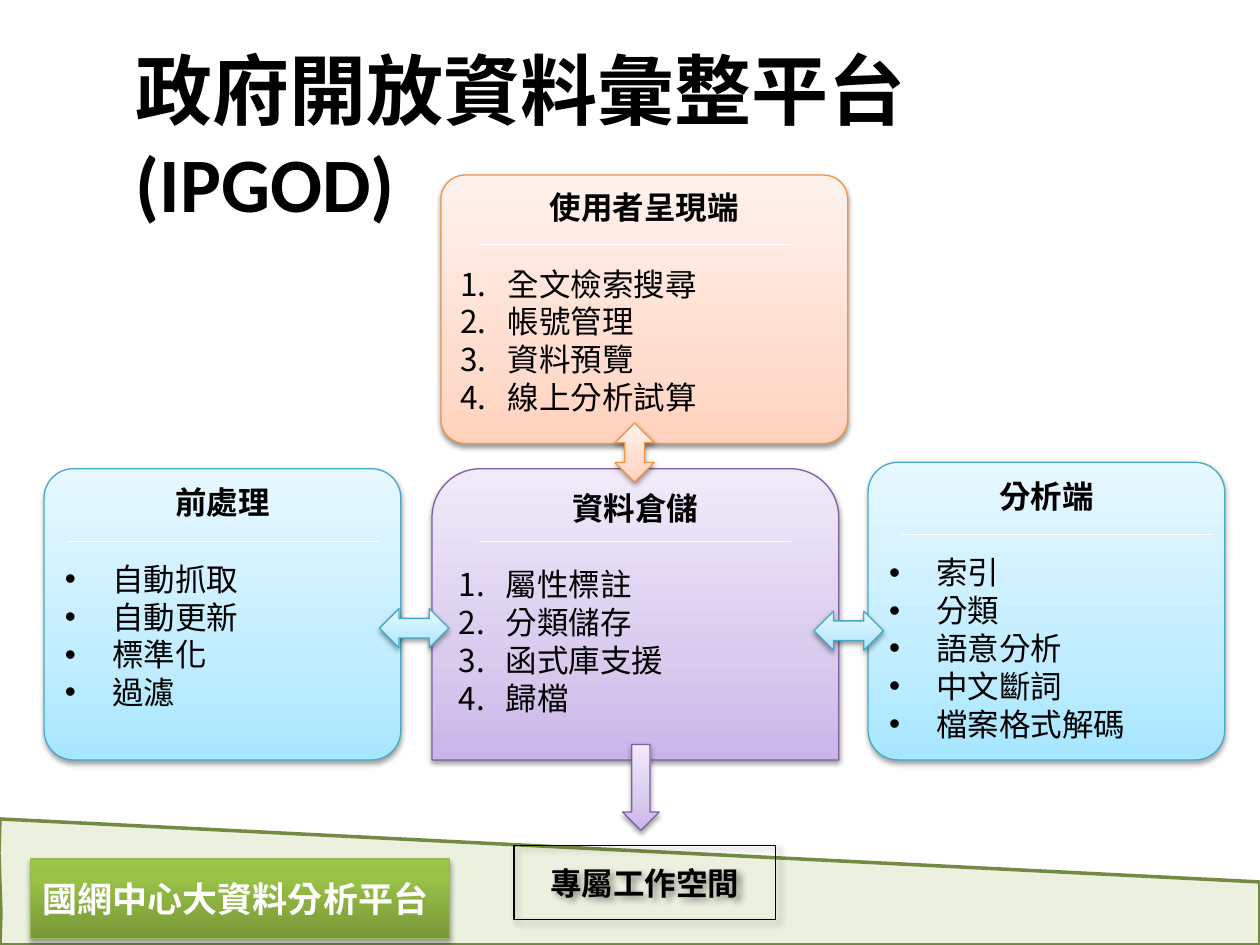
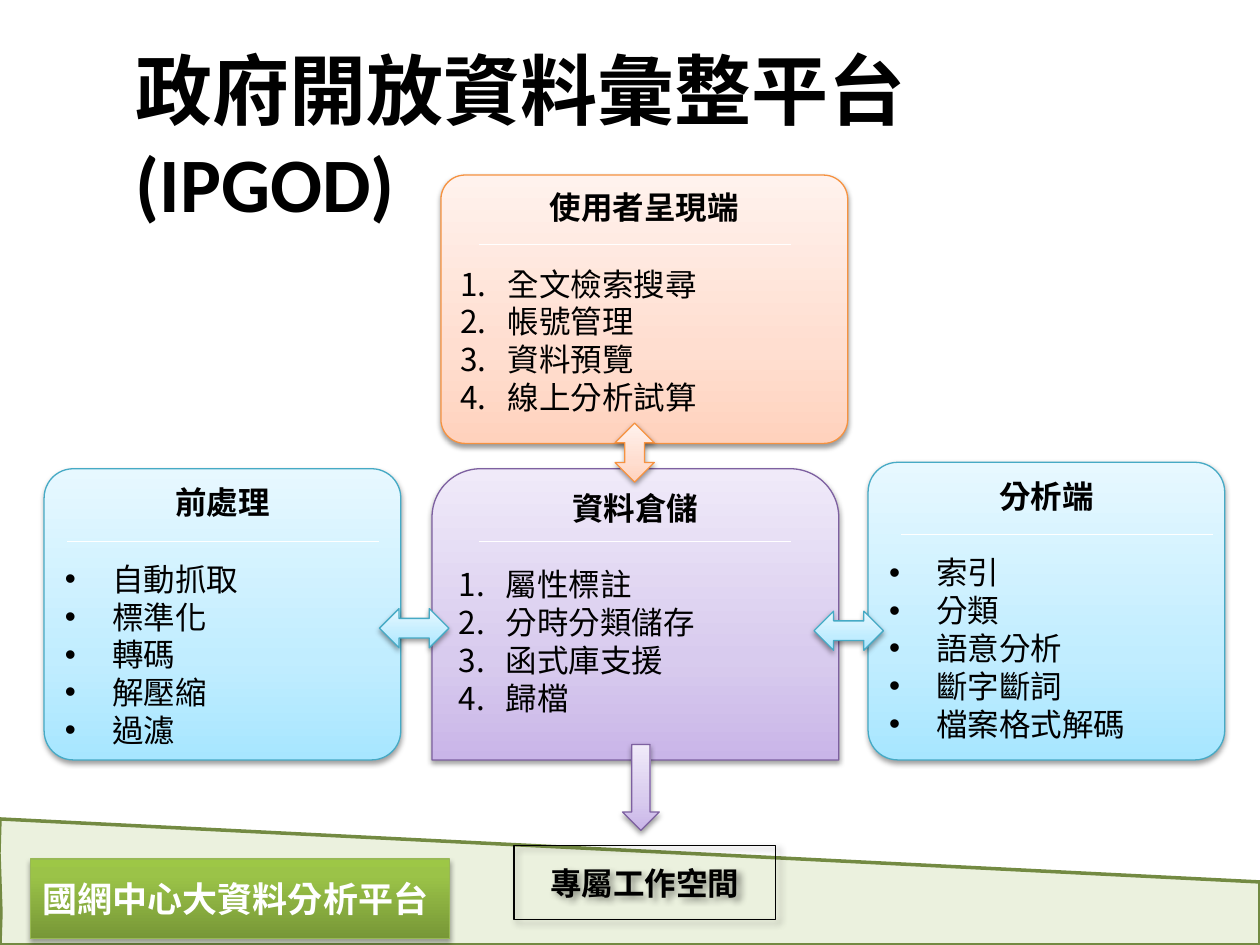
from dataclasses import dataclass

from lxml.etree import SubElement
from pptx import Presentation
from pptx.dml.color import RGBColor
from pptx.enum.lang import MSO_LANGUAGE_ID
from pptx.enum.shapes import MSO_CONNECTOR, MSO_SHAPE
from pptx.enum.text import MSO_ANCHOR, PP_ALIGN
from pptx.oxml.ns import qn
from pptx.util import Cm, Pt

COLORS = {
    "ink": "000000",
    "white": "FFFFFF",
    "blue": "46AAC5",
    "purple": "7D60A0",
    "orange": "F69240",
    "green": "98B955",
    "hill": "EBF1DE",
    "ridge": "738A42",
}
FADES = {
    "blue": ((0, "A7E6FF"), (35, "C1EDFF"), (100, "E7F8FF")),
    "purple": ((0, "C9B5E8"), (35, "D8CBEE"), (100, "F0EAF9")),
    "orange": ((0, "FFD2BD"), (35, "FFDED0"), (100, "FFF2ED")),
    "green": ((0, "779737"), (80, "9BC348"), (100, "9DC746")),
}
LATIN = "Calibri"
HAN = "Noto Sans CJK SC"


@dataclass(frozen=True)
class Area:
    left: float
    top: float
    width: float
    height: float


@dataclass(frozen=True)
class Shade:
    alpha: int
    blur: float
    dist: float
    angle: int


@dataclass(frozen=True)
class Panel:
    kind: MSO_SHAPE
    area: Area
    hue: str
    head: str
    number: bool = False
    corner: float | None = None


@dataclass(frozen=True)
class Arrow:
    kind: MSO_SHAPE
    area: Area
    hue: str


SOFT = Shade(38, 3.1, 1.6, 90)
BASE = Shade(35, 3.1, 1.8, 90)
SLANT = Shade(40, 4, 3, 45)

ROUND = MSO_SHAPE.ROUNDED_RECTANGLE
PANELS = {
    "prep": Panel(ROUND, Area(0.89, 9.45, 7.19, 5.87), "blue", "前處理", corner=0.1),
    "store": Panel(MSO_SHAPE.ROUND_2_SAME_RECTANGLE, Area(8.71, 9.45, 8.2, 5.87),
                   "purple", "資料倉儲", number=True),
    "study": Panel(ROUND, Area(17.5, 9.32, 7.19, 6), "blue", "分析端", corner=0.1),
    "user": Panel(ROUND, Area(8.89, 3.53, 8.2, 5.41), "orange", "使用者呈現端",
                  number=True, corner=0.09),
}
RULES = ((1.35, 10.92), (18.16, 10.77), (9.65, 10.92), (9.65, 4.93))
RULE = 6.3
ARROWS = (
    Arrow(MSO_SHAPE.LEFT_RIGHT_ARROW, Area(7.65, 12.27, 1.4, 0.79), "blue"),
    Arrow(MSO_SHAPE.LEFT_RIGHT_ARROW, Area(16.41, 12.32, 1.4, 0.79), "blue"),
    Arrow(MSO_SHAPE.UP_DOWN_ARROW, Area(12.4, 8.53, 0.79, 1.19), "orange"),
)
DOWN = Arrow(MSO_SHAPE.DOWN_ARROW, Area(12.55, 15.01, 0.74, 1.73), "purple")
HILL = ((0, 16.51), (25.4, 17.78), (25.4, 19.05), (0, 19.05), (0.02, 18.4), (-0.02, 17.2))

USER = ("全文檢索搜尋", "帳號管理", "資料預覽", "線上分析試算")
PAGES = (
    {
        "prep": ("自動抓取", "自動更新", "標準化", "過濾"),
        "store": ("屬性標註", "分類儲存", "函式庫支援", "歸檔"),
        "study": ("索引", "分類", "語意分析", "中文斷詞", "檔案格式解碼"),
        "user": USER,
    },
    {
        "prep": ("自動抓取", "標準化", "轉碼", "解壓縮", "過濾"),
        "store": ("屬性標註", "分時分類儲存", "函式庫支援", "歸檔"),
        "study": ("索引", "分類", "語意分析", "斷字斷詞", "檔案格式解碼"),
        "user": USER,
    },
)


def tint(name: str) -> RGBColor:
    return RGBColor.from_string(COLORS[name])


def place(area: Area) -> tuple:
    return Cm(area.left), Cm(area.top), Cm(area.width), Cm(area.height)


def write(para, text: str, size: float = 18, bold: bool = True,
          face: str = LATIN, color: str = "ink") -> None:
    run = para.add_run()
    run.text = text
    font = run.font
    font.size, font.bold, font.name = Pt(size), bold, face
    font.color.rgb = tint(color)
    font.language_id = MSO_LANGUAGE_ID.TRADITIONAL_CHINESE


def edge(shape, color: str, width: float = 0.75) -> None:
    shape.line.color.rgb = tint(color)
    shape.line.width = Pt(width)


def fade(shape, hue: str) -> None:
    shape.fill.gradient()
    shape.fill.gradient_angle = 90
    stops = shape._element.spPr.find(".//" + qn("a:gsLst"))
    stops.clear()
    for spot, code in FADES[hue]:
        stop = SubElement(stops, qn("a:gs"), pos=str(spot * 1000))
        SubElement(stop, qn("a:srgbClr"), val=code)


def cast(shape, shade: Shade) -> None:
    shape.shadow.inherit = False
    node = shape._element.spPr.find(qn("a:effectLst"))
    outer = SubElement(node, qn("a:outerShdw"), blurRad=str(Pt(shade.blur)),
                       dist=str(Pt(shade.dist)), dir=str(shade.angle * 60000),
                       rotWithShape="0")
    color = SubElement(outer, qn("a:srgbClr"), val=COLORS["ink"])
    SubElement(color, qn("a:alpha"), val=str(shade.alpha * 1000))


def block(slide, kind: MSO_SHAPE, area: Area, hue: str, shade: Shade = SOFT):
    shape = slide.shapes.add_shape(kind, *place(area))
    if hue in FADES:
        fade(shape, hue)
    else:
        shape.fill.background()
    edge(shape, hue)
    cast(shape, shade)
    return shape


def mark(para, number: bool) -> None:
    props = para._p.get_or_add_pPr()
    props.set("marL", str(Cm(0.95)))
    props.set("indent", str(-Cm(0.95)))
    SubElement(props, qn("a:buFont"), typeface="+mj-lt" if number else "Arial")
    if number:
        SubElement(props, qn("a:buAutoNum"), type="arabicPeriod")
    else:
        SubElement(props, qn("a:buChar"), char="•")


def panel(slide, spec_: Panel, items: tuple[str, ...]) -> None:
    shape = block(slide, spec_.kind, spec_.area, spec_.hue)
    if spec_.corner is not None:
        shape.adjustments[0] = spec_.corner
    frame = shape.text_frame
    frame.word_wrap = True
    frame.vertical_anchor = MSO_ANCHOR.TOP
    head = frame.paragraphs[0]
    head.alignment = PP_ALIGN.CENTER
    head.space_after = Pt(22)
    write(head, spec_.head)
    for item in items:
        para = frame.add_paragraph()
        para.alignment = PP_ALIGN.LEFT
        mark(para, spec_.number)
        write(para, item, bold=False)


def rule(slide, left: float, top: float) -> None:
    line = slide.shapes.add_connector(MSO_CONNECTOR.STRAIGHT, Cm(left), Cm(top),
                                      Cm(left + RULE), Cm(top))
    edge(line, "white")
    SubElement(line._element.spPr, qn("a:effectLst"))


def title(slide) -> None:
    frame = slide.shapes.add_textbox(*place(Area(2.49, 0.74, 21.95, 2.13))).text_frame
    frame.word_wrap = True
    frame.margin_right = Cm(1.5)
    write(frame.paragraphs[0], "政府開放資料彙整平台 (IPGOD)", 44)


def hill(slide) -> None:
    first, *rest = [(Cm(x), Cm(y)) for x, y in HILL]
    pen = slide.shapes.build_freeform(*first, scale=1.0)
    pen.add_line_segments(rest, close=True)
    shape = pen.convert_to_shape()
    shape.fill.solid()
    shape.fill.fore_color.rgb = tint("hill")
    edge(shape, "ridge", 2)
    shape.shadow.inherit = False


def label(shape, text: str, size: float, color: str, align: PP_ALIGN) -> None:
    frame = shape.text_frame
    frame.word_wrap = True
    frame.vertical_anchor = MSO_ANCHOR.MIDDLE
    para = frame.paragraphs[0]
    para.alignment = align
    write(para, text, size, face=HAN, color=color)


def arrow(slide, item: Arrow) -> None:
    block(slide, item.kind, item.area, item.hue)


def page(deck, lists: dict[str, tuple[str, ...]]) -> None:
    slide = deck.slides.add_slide(deck.slide_layouts[6])
    for name, item in PANELS.items():
        panel(slide, item, lists[name])
    for left, top in RULES:
        rule(slide, left, top)
    title(slide)
    for item in ARROWS:
        arrow(slide, item)
    hill(slide)
    space = block(slide, MSO_SHAPE.RECTANGLE, Area(10.36, 17.04, 5.28, 1.5), "ink", SLANT)
    label(space, "專屬工作空間", 18, "ink", PP_ALIGN.CENTER)
    arrow(slide, DOWN)
    badge = block(slide, MSO_SHAPE.RECTANGLE, Area(0.61, 17.32, 8.46, 1.6), "green", BASE)
    label(badge, "國網中心大資料分析平台", 20, "white", PP_ALIGN.LEFT)


def main() -> None:
    deck = Presentation()
    deck.slide_width, deck.slide_height = Cm(25.4), Cm(19.05)
    for lists in PAGES:
        page(deck, lists)
    deck.save("out.pptx")


main()
